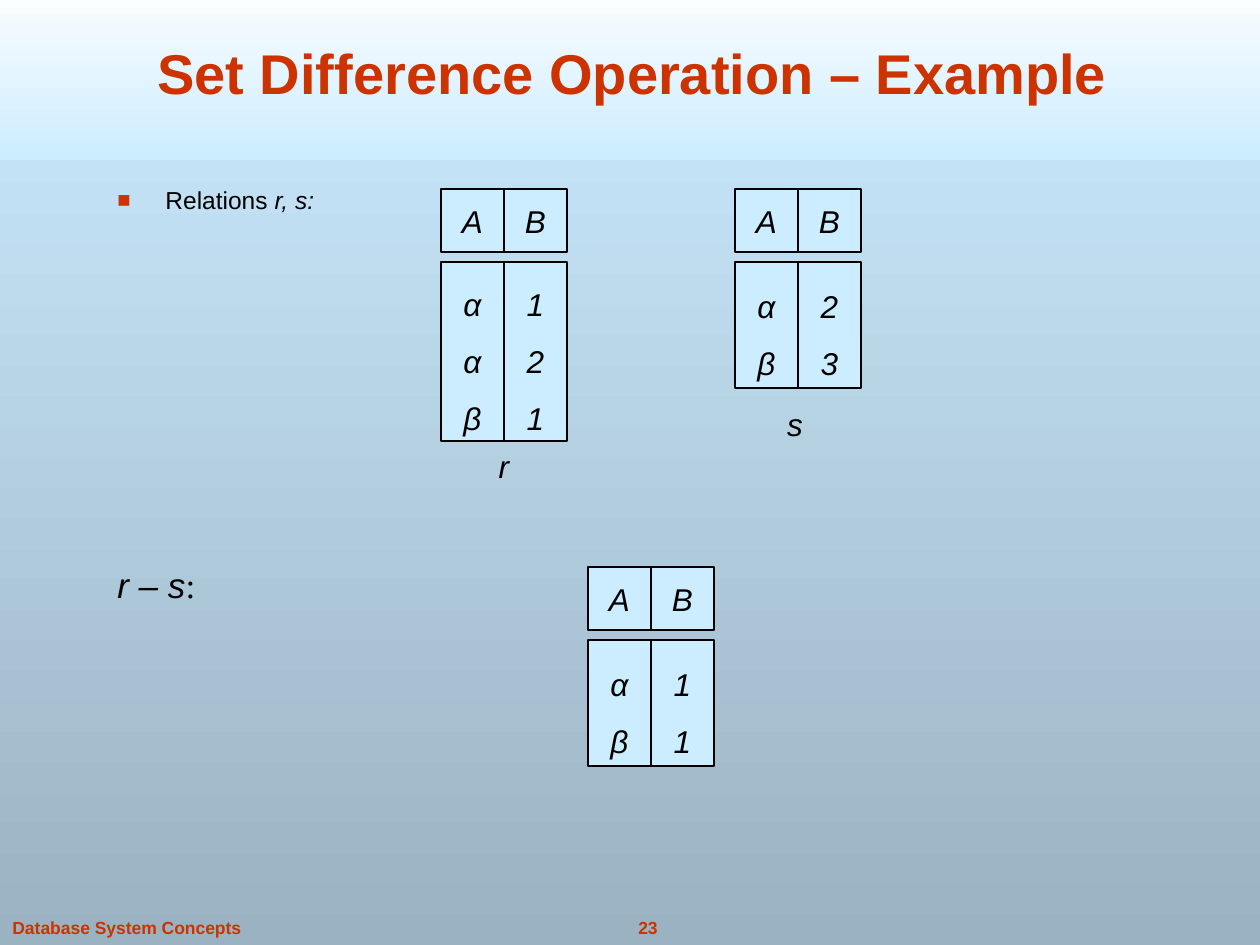
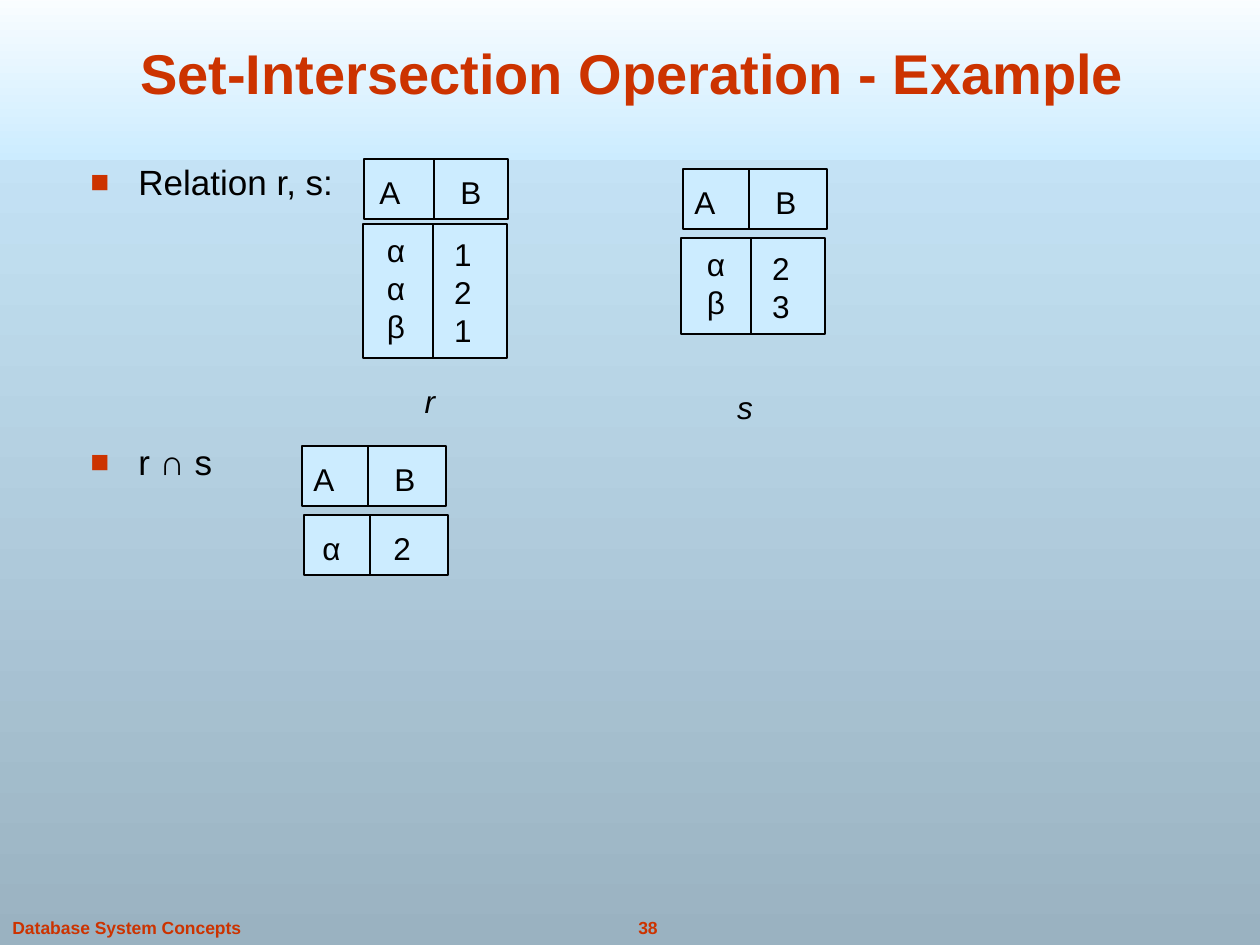
from lxml.etree import SubElement
from pptx import Presentation
from pptx.dml.color import RGBColor
from pptx.enum.shapes import MSO_CONNECTOR, MSO_SHAPE
from pptx.enum.text import MSO_ANCHOR, MSO_AUTO_SIZE, PP_ALIGN
from pptx.oxml.ns import qn
from pptx.util import Pt

EMU_PER_PX = 914400 / 126
COLOURS = {
    "accent": "CC3300",
    "ink": "000000",
    "cell": "CCECFF",
    "band_top": "FFFFFF",
    "page_bottom": "9AB2C1",
}

# Character formats
TITLE = {"size": Pt(32), "bold": True, "colour": "accent"}
FOOTER = {"size": Pt(10), "bold": True, "colour": "accent"}
SMALL = {"size": Pt(14)}
LARGE = {"size": Pt(20)}
VALUE = {"size": Pt(18)}
VARIABLE = {"size": Pt(18), "italic": True}

# Sizes in px
CELL = 63
BODY_OFFSET = 73
FRAME_WIDTH = 144
HEADER_HEIGHT = 60
BULLET_INDENT = 48


def px(length):
    return round(length * EMU_PER_PX)


def rgb(name):
    return RGBColor.from_string(COLOURS[name])


def fill_gradient(fill, top, bottom):
    fill.gradient()
    fill.gradient_angle = 270
    for stop, position, name in zip(fill.gradient_stops, (0, 1), (top, bottom)):
        stop.position = position
        stop.color.rgb = rgb(name)


def add_span(para, text, style):
    span = para.add_run()
    span.text = text
    settings = {"name": "Arial", "colour": "ink", **style}
    span.font.color.rgb = rgb(settings.pop("colour"))
    for key, value in settings.items():
        setattr(span.font, key, value)


def write(box, lines, style, align=PP_ALIGN.CENTER, anchor=MSO_ANCHOR.TOP,
          wrap=False, spacing=None):
    """Fill a shape with lines; a line is a string or a list of (text, style)."""
    frame = box.text_frame
    settings = {"word_wrap": wrap, "vertical_anchor": anchor,
                "auto_size": MSO_AUTO_SIZE.NONE}
    for key, value in settings.items():
        setattr(frame, key, value)
    for index, line in enumerate(lines):
        para = frame.add_paragraph() if index else frame.paragraphs[0]
        para.alignment = align
        para.line_spacing = spacing
        for text, span_style in [(line, style)] if isinstance(line, str) else line:
            add_span(para, text, span_style)
    return frame.paragraphs


def add_text(page, left, top, width, height, lines, style, **layout):
    box = page.shapes.add_textbox(px(left), px(top), px(width), px(height))
    return write(box, lines, style, **layout)


def add_bullet(para):
    properties = para._p.get_or_add_pPr()
    properties.set("marL", str(px(BULLET_INDENT)))
    properties.set("indent", str(-px(BULLET_INDENT)))
    colour = SubElement(properties, qn("a:buClr"))
    SubElement(colour, qn("a:srgbClr"), val=COLOURS["accent"])
    SubElement(properties, qn("a:buSzPct"), val="90000")
    SubElement(properties, qn("a:buFont"), typeface="Arial")
    SubElement(properties, qn("a:buChar"), char="■")


def add_bullets(page, left, top, width, height, lines, style):
    paras = add_text(page, left, top, width, height, lines, style,
                     align=PP_ALIGN.LEFT, wrap=True)
    for para in paras:
        add_bullet(para)
    return paras


def add_rectangle(page, left, top, width, height):
    box = page.shapes.add_shape(MSO_SHAPE.RECTANGLE, px(left), px(top),
                                px(width), px(height))
    box.shadow.inherit = False
    box.fill.solid()
    box.fill.fore_color.rgb = rgb("cell")
    box.line.color.rgb = rgb("ink")
    box.line.width = Pt(0.75)
    return box


def add_cell_relation(page, left, top, columns, body_height):
    """A relation made of one header cell and one value cell per column."""
    for index, (name, values) in enumerate(columns.items()):
        x = left + index * CELL
        header = add_rectangle(page, x, top, CELL, CELL)
        write(header, [name], VARIABLE, anchor=MSO_ANCHOR.MIDDLE)
        body = add_rectangle(page, x, top + BODY_OFFSET, CELL, body_height)
        write(body, values, VARIABLE, anchor=MSO_ANCHOR.MIDDLE, spacing=1.5)


def add_split_frame(page, left, top, height, divider):
    add_rectangle(page, left, top, FRAME_WIDTH, height)
    x = px(left + divider)
    line = page.shapes.add_connector(MSO_CONNECTOR.STRAIGHT, x, px(top + 1),
                                     x, px(top + height))
    line.line.color.rgb = rgb("ink")
    line.line.width = Pt(0.75)
    SubElement(line._element.spPr, qn("a:effectLst"))


def add_split_row(page, left, top, divider, cells, text_shift, tab):
    """A framed row whose two values are set apart by a tab stop."""
    add_split_frame(page, left, top, HEADER_HEIGHT, divider)
    para, = add_text(page, left + text_shift, top + 8, 135, 50,
                     ["\t".join(cells)], VALUE, align=PP_ALIGN.LEFT, wrap=True)
    stops = SubElement(para._p.get_or_add_pPr(), qn("a:tabLst"))
    SubElement(stops, qn("a:tab"), pos=str(px(tab)), algn="l")


def add_split_values(page, left, top, height, divider, columns, shifts):
    add_split_frame(page, left, top, height, divider)
    for values, shift, drop in zip(columns, shifts, (1, 5)):
        add_text(page, left + shift, top + drop, 44, height - 8, values, VALUE)


def add_label(page, left, top, name):
    add_text(page, left, top, 38, 50, [name], VARIABLE)


def add_page(deck, title, number):
    page = deck.slides.add_slide(deck.slide_layouts[5])
    box = page.shapes.title
    box.left, box.top, box.width, box.height = map(px, (76, 28, 1113, 84))
    write(box, [title], TITLE, anchor=MSO_ANCHOR.BOTTOM, wrap=True)
    add_text(page, 593, 911, 110, 34, [number], FOOTER)
    return page


def furnish_master(deck, page):
    """Move the band and the footer, drawn on a page, behind all pages."""
    master = deck.slide_master
    fill_gradient(master.background.fill, "cell", "page_bottom")
    band = add_rectangle(page, 0, -21, 1260, 181)
    fill_gradient(band.fill, "band_top", "cell")
    band.line.fill.background()
    footer = page.shapes.add_textbox(0, px(911), px(260), px(34))
    write(footer, ["Database System Concepts"], FOOTER,
          align=PP_ALIGN.LEFT, wrap=True)
    for position, part in enumerate((band, footer), start=2):
        master.shapes.element.insert(position, part._element)


def build_difference(deck):
    page = add_page(deck, "Set Difference Operation – Example", "23")
    furnish_master(deck, page)
    italic = {**SMALL, "italic": True}
    add_bullets(page, 105, 179, 969, 45,
                [[("Relations ", SMALL), ("r, s:", italic)]], SMALL)
    add_text(page, 105, 557, 969, 45,
             [[("r – s", {**LARGE, "italic": True}),
               (":", {**LARGE, "name": "Times New Roman"})]],
             LARGE, align=PP_ALIGN.LEFT, wrap=True)

    # Source relations and their difference
    add_cell_relation(page, 441, 189, {"A": "ααβ", "B": "121"}, 179)
    add_cell_relation(page, 735, 189, {"A": "αβ", "B": "23"}, 126)
    add_label(page, 485, 441, "r")
    add_label(page, 776, 399, "s")
    add_cell_relation(page, 588, 567, {"A": "αβ", "B": "11"}, 126)


def build_intersection(deck):
    page = add_page(deck, "Set-Intersection Operation - Example", "38")
    paras = add_bullets(page, 78, 154, 1081, 672,
                        ["Relation r, s:", "r ∩ s"], LARGE)
    paras[1].space_before = Pt(136)

    # Relation r
    add_split_row(page, 364, 159, 70, "AB", 3, 81)
    add_split_values(page, 363, 224, 134, 70, ("ααβ", "121"), (11, 78))
    add_label(page, 411, 376, "r")

    # Relation s
    add_split_row(page, 683, 169, 66, "AB", -1, 81)
    add_split_values(page, 681, 238, 96, 70, ("αβ", "23"), (13, 78))
    add_label(page, 726, 382, "s")

    # Intersection
    add_split_row(page, 302, 446, 66, "AB", -1, 81)
    add_split_row(page, 304, 515, 66, "α2", 6, 71)


def main():
    deck = Presentation()
    deck.slide_width, deck.slide_height = px(1260), px(945)
    build_difference(deck)
    build_intersection(deck)
    deck.save("out.pptx")


if __name__ == "__main__":
    main()
